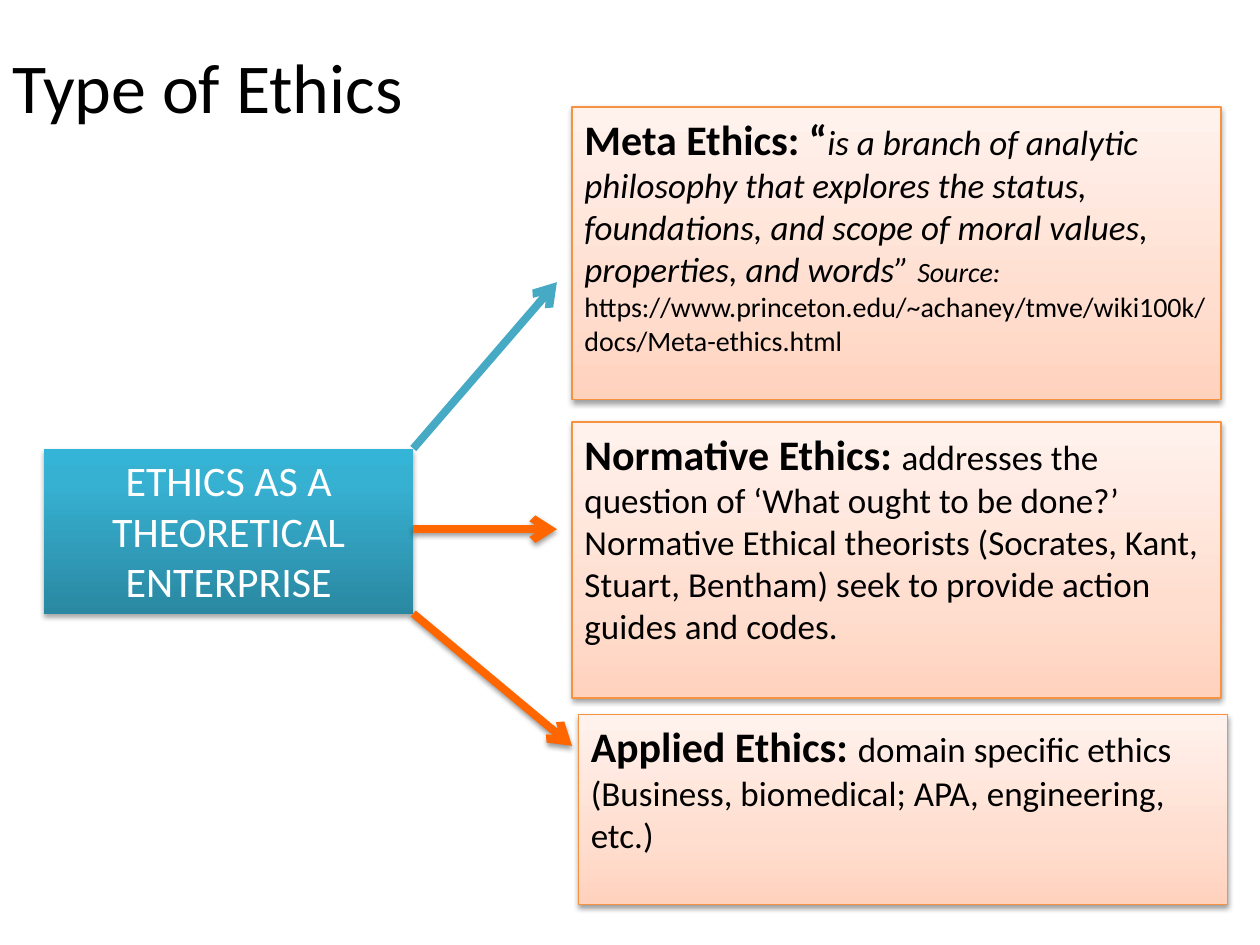
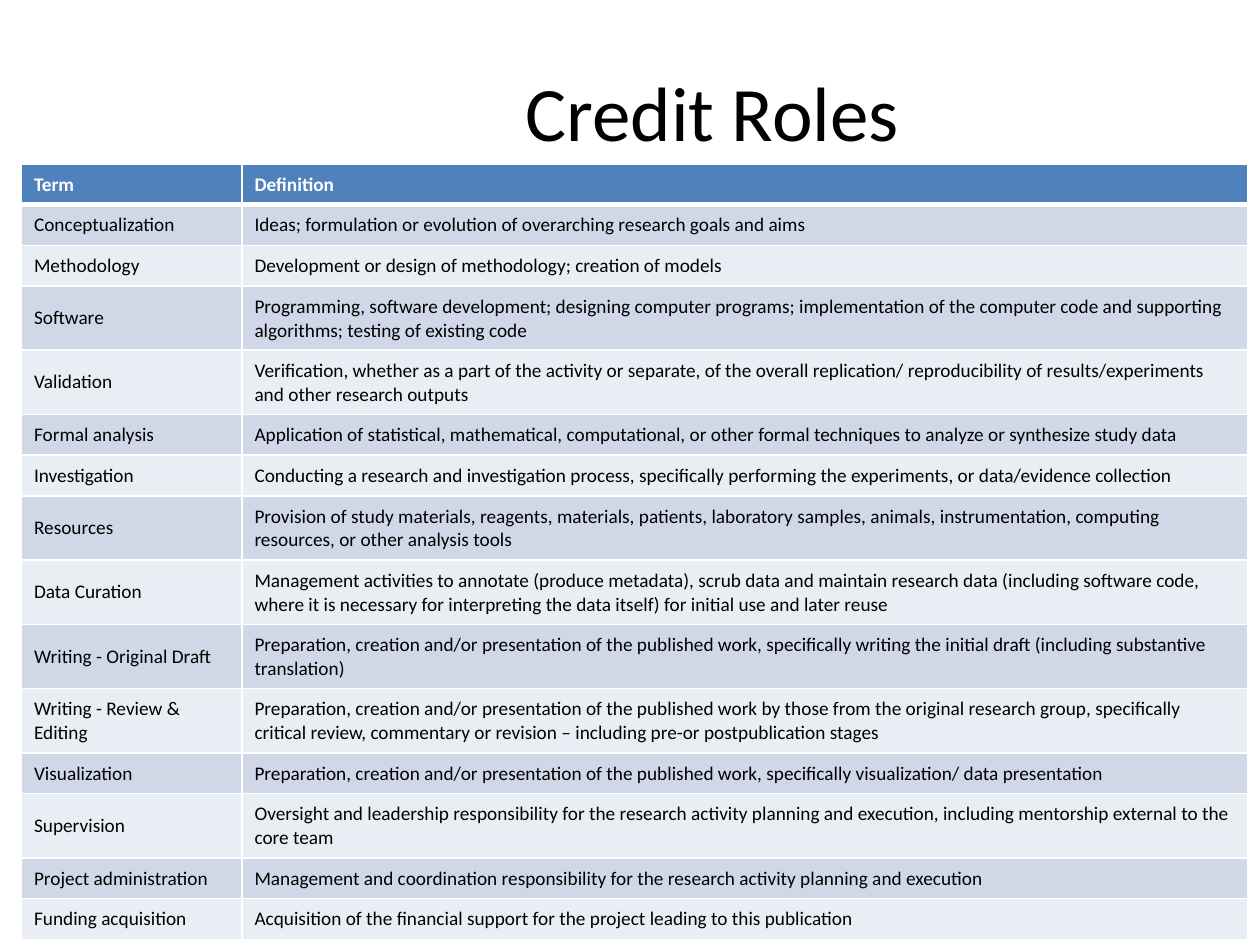
from lxml import etree
from pptx import Presentation
from pptx.dml.color import RGBColor
from pptx.enum.shapes import MSO_CONNECTOR, MSO_SHAPE
from pptx.enum.text import MSO_ANCHOR, PP_ALIGN
from pptx.oxml.ns import qn
from pptx.util import Inches, Pt

FONT = "Calibri"
COLORS = {
    "text": "000000",
    "white": "FFFFFF",
    "peach_line": "F69240",
    "teal_arrow": "46AAC5",
    "orange_arrow": "FF6600",
    "header": "4F81BD",
    "odd_row": "D0D8E8",
    "even_row": "E9EDF4",
}
# Gradient stops run from the bottom of the shape to its top.
GRADIENTS = {
    "teal": [(0, "2A88A2"), (80, "37B1D2"), (100, "34B4D6")],
    "peach": [(0, "FFD2BD"), (35, "FFDED0"), (100, "FFF2ED")],
}

LEAD = {"size": Pt(24), "bold": True}
BODY = {"size": Pt(20)}
QUOTE = {"size": Pt(20), "italic": True}
SOURCE = {"size": Pt(16)}

DEFINITION_BOXES = [
    ((4.54, 0.85, 5.15, 2.32), [
        ("Meta Ethics: “", LEAD),
        ("is a branch of analytic philosophy that explores the status, foundations, "
         "and scope of moral values, properties, and words” ", QUOTE),
        ("Source: ", {**SOURCE, "italic": True}),
        ("https://www.princeton.edu/~achaney/tmve/wiki100k/docs/Meta-ethics.html", SOURCE),
    ]),
    ((4.54, 3.35, 5.15, 2.19), [
        ("Normative Ethics: ", LEAD),
        ("addresses the question of ‘What ought to be done?’ Normative Ethical theorists "
         "(Socrates, Kant, Stuart, Bentham) seek to provide action guides and codes.", BODY),
    ]),
    ((4.59, 5.67, 5.15, 1.51), [
        ("Applied Ethics: ", LEAD),
        ("domain specific ethics (Business, biomedical; APA, engineering, etc.)", BODY),
    ]),
]

CREDIT_ROLES = [
    ("Term", "Definition"),
    ("Conceptualization",
     "Ideas; formulation or evolution of overarching research goals and aims"),
    ("Methodology", "Development or design of methodology; creation of models"),
    ("Software",
     "Programming, software development; designing computer programs; implementation of "
     "the computer code and supporting algorithms; testing of existing code"),
    ("Validation",
     "Verification, whether as a part of the activity or separate, of the overall "
     "replication/ reproducibility of results/experiments and other research outputs"),
    ("Formal analysis",
     "Application of statistical, mathematical, computational, or other formal techniques "
     "to analyze or synthesize study data"),
    ("Investigation",
     "Conducting a research and investigation process, specifically performing the "
     "experiments, or data/evidence collection"),
    ("Resources",
     "Provision of study materials, reagents, materials, patients, laboratory samples, "
     "animals, instrumentation, computing resources, or other analysis tools"),
    ("Data Curation",
     "Management activities to annotate (produce metadata), scrub data and maintain "
     "research data (including software code, where it is necessary for interpreting the "
     "data itself) for initial use and later reuse"),
    ("Writing - Original Draft",
     "Preparation, creation and/or presentation of the published work, specifically "
     "writing the initial draft (including substantive translation)"),
    ("Writing - Review & Editing",
     "Preparation, creation and/or presentation of the published work by those from the "
     "original research group, specifically critical review, commentary or revision – "
     "including pre-or postpublication stages"),
    ("Visualization",
     "Preparation, creation and/or presentation of the published work, specifically "
     "visualization/ data presentation"),
    ("Supervision",
     "Oversight and leadership responsibility for the research activity planning and "
     "execution, including mentorship external to the core team"),
    ("Project administration",
     "Management and coordination responsibility for the research activity planning and "
     "execution"),
    ("Funding acquisition",
     "Acquisition of the financial support for the project leading to this publication"),
]
LONGEST_SINGLE_LINE = 125


def rgb(name):
    return RGBColor.from_string(COLORS[name])


def inches(*lengths):
    return [Inches(length) for length in lengths]


def add_child(parent, tag, **attributes):
    """Append an XML child such as a:ln with the given attributes."""
    child = etree.SubElement(parent, qn(tag))
    for name, value in attributes.items():
        child.set(name, str(value))
    return child


def add_run(paragraph, text, color="text", **formats):
    run = paragraph.add_run()
    run.text = text
    run.font.name = FONT
    run.font.color.rgb = rgb(color)
    for name, value in formats.items():
        setattr(run.font, name, value)


def add_title(slide, box, text, size, alignment):
    frame = slide.shapes.add_textbox(*inches(*box)).text_frame
    frame.word_wrap = True
    frame.vertical_anchor = MSO_ANCHOR.MIDDLE
    frame.paragraphs[0].alignment = alignment
    add_run(frame.paragraphs[0], text, size=Pt(size))


def add_shadow(effects, distance, opacity):
    shadow = add_child(effects, "a:outerShdw", blurRad=Pt(3.1), dist=Pt(distance),
                       dir=90 * 60000, rotWithShape=0)
    color = add_child(shadow, "a:srgbClr", val="000000")
    add_child(color, "a:alpha", val=opacity * 1000)


def add_gradient_box(slide, box, gradient, runs, alignment=PP_ALIGN.LEFT,
                     line=None, shadow=(1.6, 38)):
    shape = slide.shapes.add_shape(MSO_SHAPE.RECTANGLE, *inches(*box))
    shape.fill.gradient()
    shape.fill.gradient_angle = 90
    stops = shape._element.spPr.find(".//" + qn("a:gsLst"))
    stops.clear()
    for position, color in GRADIENTS[gradient]:
        stop = add_child(stops, "a:gs", pos=position * 1000)
        add_child(stop, "a:srgbClr", val=color)
    if line:
        shape.line.color.rgb = rgb(line)
        shape.line.width = Pt(0.75)
    else:
        shape.line.fill.background()
    shape.shadow.inherit = False
    add_shadow(shape._element.spPr.find(qn("a:effectLst")), *shadow)

    frame = shape.text_frame
    frame.word_wrap = True
    frame.vertical_anchor = MSO_ANCHOR.TOP
    paragraph = frame.paragraphs[0]
    paragraph.alignment = alignment
    for text, formats in runs:
        add_run(paragraph, text, **formats)


def add_arrow(slide, start, end, color, shadowed=True):
    connector = slide.shapes.add_connector(MSO_CONNECTOR.STRAIGHT, *inches(*start, *end))
    connector.line.color.rgb = rgb(color)
    connector.line.width = Pt(4.5)
    properties = connector._element.spPr
    add_child(properties.find(qn("a:ln")), "a:tailEnd", type="arrow")
    effects = add_child(properties, "a:effectLst")
    if shadowed:
        add_shadow(effects, 1.6, 38)


def add_ethics_slide(presentation):
    slide = presentation.slides.add_slide(presentation.slide_layouts[6])
    add_title(slide, (0, 0.22, 6.33, 0.91), "Type of Ethics", 40, PP_ALIGN.LEFT)

    left, top, width, height = enterprise = (0.35, 3.56, 2.93, 1.31)
    add_gradient_box(slide, enterprise, "teal",
                     [("ETHICS AS A THEORETICAL ENTERPRISE",
                       {"size": Pt(24), "color": "white"})],
                     alignment=PP_ALIGN.CENTER, shadow=(1.8, 35))
    for box, runs in DEFINITION_BOXES:
        add_gradient_box(slide, box, "peach", runs, line="peach_line")

    right = left + width
    add_arrow(slide, (right, top), (4.42, 2.24), "teal_arrow", shadowed=False)
    add_arrow(slide, (right, 4.2), (4.42, 4.2), "orange_arrow")
    add_arrow(slide, (right, top + height), (4.54, 5.92), "orange_arrow")


def format_cell(cell, text, row_index):
    is_header = row_index == 0
    thick_sides = {0: "a:lnB", 1: "a:lnT"}
    properties = cell._tc.get_or_add_tcPr()
    for side in ("a:lnL", "a:lnR", "a:lnT", "a:lnB"):
        points = 3 if thick_sides.get(row_index) == side else 1
        border = add_child(properties, side, w=Pt(points))
        add_child(add_child(border, "a:solidFill"), "a:srgbClr", val=COLORS["white"])
    cell.fill.solid()
    row_color = "odd_row" if row_index % 2 else "even_row"
    cell.fill.fore_color.rgb = rgb("header" if is_header else row_color)

    formats = {
        "vertical_anchor": MSO_ANCHOR.MIDDLE,
        "margin_left": Inches(0.1),
        "margin_right": Inches(0.1),
        "margin_top": Inches(0.07),
        "margin_bottom": Inches(0.07),
    }
    for name, value in formats.items():
        setattr(cell, name, value)
    add_run(cell.text_frame.paragraphs[0], text, "white" if is_header else "text",
            size=Pt(11), bold=is_header)


def add_roles_table(slide, box):
    table = slide.shapes.add_table(len(CREDIT_ROLES), 2, *inches(*box)).table
    table.horz_banding = False
    term_width = 1.75
    for column, width in zip(table.columns, (term_width, box[2] - term_width)):
        column.width = Inches(width)
    for row_index, texts in enumerate(CREDIT_ROLES):
        row = table.rows[row_index]
        row.height = Inches(0.51 if len(texts[1]) > LONGEST_SINGLE_LINE else 0.32)
        for cell, text in zip(row.cells, texts):
            format_cell(cell, text, row_index)


def add_roles_slide(presentation):
    slide = presentation.slides.add_slide(presentation.slide_layouts[6])
    add_title(slide, (1.31, 0.4, 8.69, 0.95), "Credit Roles", 44, PP_ALIGN.CENTER)
    add_roles_table(slide, (0.17, 1.3, 9.73, 6.13))


def main():
    presentation = Presentation()
    presentation.slide_width, presentation.slide_height = inches(10, 7.5)
    add_ethics_slide(presentation)
    add_roles_slide(presentation)
    presentation.save("out.pptx")


if __name__ == "__main__":
    main()
